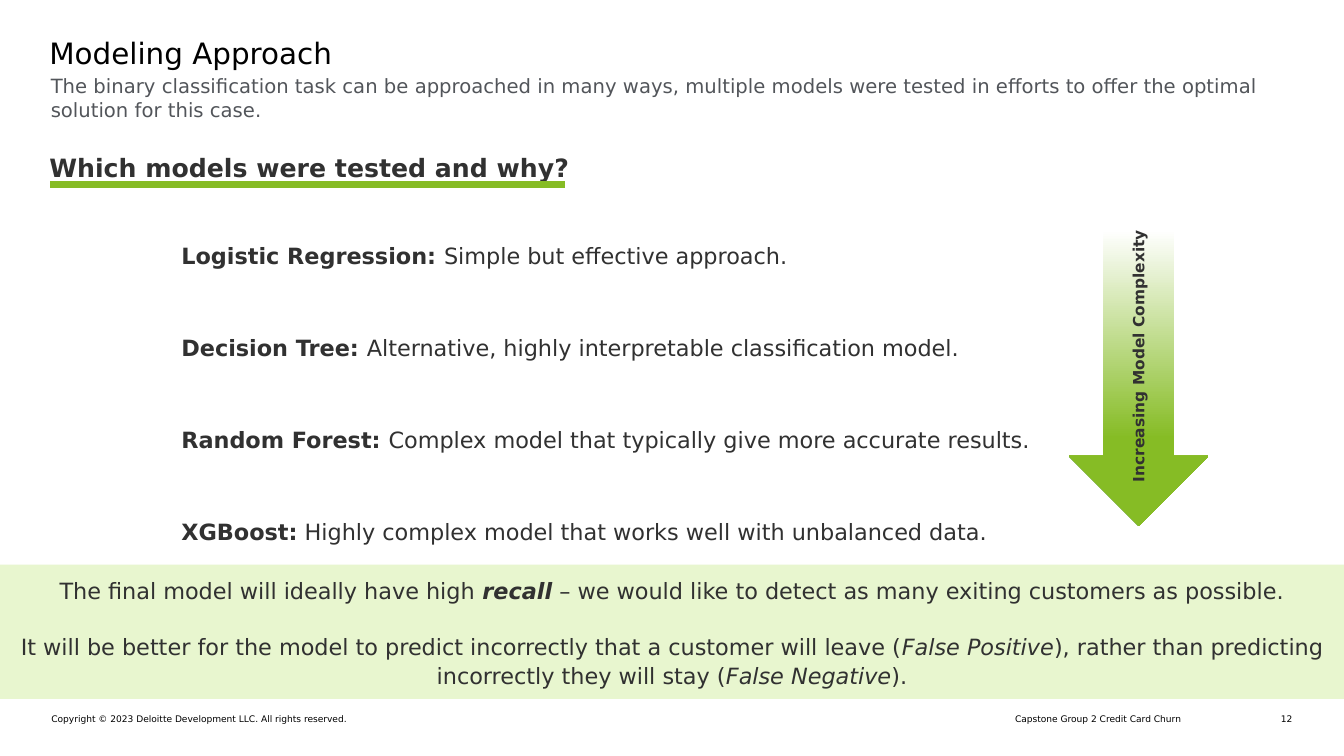
from lxml.etree import SubElement
from pptx import Presentation
from pptx.dml.color import RGBColor
from pptx.enum.shapes import MSO_CONNECTOR, MSO_SHAPE
from pptx.enum.text import MSO_ANCHOR, PP_ALIGN
from pptx.oxml.ns import qn
from pptx.util import Pt

FONT = "DejaVu Sans"
BLACK, INK, GREY = "000000", "313131", "52555A"
GREEN, PALE_GREEN, WHITE = "86BC25", "E8F6CF", "FFFFFF"

MODELS = [
    ("Logistic Regression: ", "Simple but effective approach."),
    ("Decision Tree: ", "Alternative, highly interpretable classification model."),
    ("Random Forest: ", "Complex model that typically give more accurate results."),
    ("XGBoost:", " Highly complex model that works well with unbalanced data."),
]
MODELS_TOP, MODEL_PITCH = 153.4, 65.8

BOLD, ITALIC = {"bold": True}, {"italic": True}
CONCLUSION = [
    [("The final model will ideally have high ", {}),
     ("recall", BOLD | ITALIC),
     (" – we would like to detect as many exiting customers as possible.", {})],
    [("It will be better for the model to predict incorrectly that a customer will leave (", {}),
     ("False Positive", ITALIC),
     ("), rather than predicting incorrectly they will stay (", {}),
     ("False Negative", ITALIC),
     (").", {})],
]


def rgb(value):
    return RGBColor.from_string(value)


def apply(target, values):
    for name, value in values.items():
        setattr(target, name, value)


def add_runs(paragraph, runs, size, color):
    for text, style in runs:
        run = paragraph.add_run()
        run.text = text
        apply(run.font, {"name": FONT, "size": Pt(size)} | style)
        run.font.color.rgb = rgb(color)


def add_text(slide, box, runs, size, color=INK, frame=None, paragraph=None):
    """Single-paragraph text box without margins."""
    text_box = slide.shapes.add_textbox(*map(Pt, box))
    text_frame = text_box.text_frame
    apply(text_frame, {"margin_left": 0, "margin_top": 0, "margin_right": 0,
                       "margin_bottom": 0, "word_wrap": True} | (frame or {}))
    line = text_frame.paragraphs[0]
    apply(line, paragraph or {})
    add_runs(line, runs, size, color)
    return text_box


def add_plain_shape(slide, kind, box):
    shape = slide.shapes.add_shape(kind, *map(Pt, box))
    shape.shadow.inherit = False
    shape.line.fill.background()
    return shape


def add_rule(slide, left, right, y):
    rule = slide.shapes.add_connector(
        MSO_CONNECTOR.STRAIGHT, Pt(left), Pt(y), Pt(right), Pt(y))
    rule.line.color.rgb = rgb(GREEN)
    rule.line.width = Pt(4.5)
    SubElement(rule._element.spPr, qn("a:effectLst"))


def set_gradient(shape, stops):
    """Top-to-bottom gradient from (percent, colour) stops."""
    shape.fill.gradient()
    shape.fill.gradient_angle = 270
    stop_list = shape._element.spPr.find(qn("a:gradFill")).find(qn("a:gsLst"))
    for old_stop in list(stop_list):
        stop_list.remove(old_stop)
    for percent, color in stops:
        stop = SubElement(stop_list, qn("a:gs"), pos=str(percent * 1000))
        SubElement(stop, qn("a:srgbClr"), val=color)


def add_conclusion(slide, box):
    band = add_plain_shape(slide, MSO_SHAPE.RECTANGLE, box)
    band.fill.solid()
    band.fill.fore_color.rgb = rgb(PALE_GREEN)
    frame = band.text_frame
    apply(frame, {"margin_left": Pt(7.2), "margin_right": Pt(7.2),
                  "margin_top": Pt(7.2), "margin_bottom": Pt(7.2),
                  "word_wrap": True, "vertical_anchor": MSO_ANCHOR.MIDDLE})
    for index, runs in enumerate(CONCLUSION):
        statement = frame.add_paragraph() if index else frame.paragraphs[0]
        apply(statement, {"alignment": PP_ALIGN.CENTER, "line_spacing": 1.06})
        if index:
            statement.space_before = Pt(20)
        add_runs(statement, runs, 16, INK)


def main():
    deck = Presentation()
    apply(deck, {"slide_width": Pt(960), "slide_height": Pt(540)})
    slide = deck.slides.add_slide(deck.slide_layouts[6])

    # Footer
    right = {"alignment": PP_ALIGN.RIGHT}
    for left, width, text, style in [
        (36.7, 422, "Copyright © 2023 Deloitte Development LLC. All rights reserved.", {}),
        (458.6, 385.2, "Capstone Group 2 Credit Card Churn", right),
        (898.6, 24.5, "12", right),
    ]:
        add_text(slide, (left, 509.8, width, 8), [(text, {})], 6.5, BLACK, paragraph=style)

    # Title and subtitle
    add_text(slide, (35.3, 25.2, 842.4, 35.3), [("Modeling Approach", {})], 21, BLACK)
    subtitle = ("The binary classification task can be approached in many ways, multiple models "
                "were tested in efforts to offer the optimal solution for this case.")
    add_text(slide, (35.3, 51.8, 918.7, 35.3), [(subtitle, {})], 14, GREY,
             frame={"margin_left": Pt(1), "margin_top": Pt(1)})

    # Section heading with its rule
    add_text(slide, (35.3, 108.7, 414, 21.6), [("Which models were tested and why?", BOLD)], 18)
    add_rule(slide, 36, 403.5, 131.9)

    # Models, from simple to complex
    for row, (model, reason) in enumerate(MODELS):
        add_text(slide, (129.6, MODELS_TOP + row * MODEL_PITCH, 626.4, 32.4),
                 [(model, BOLD), (reason, {})], 16, paragraph={"line_spacing": 2.0})

    # Conclusion band
    add_conclusion(slide, (0, 403.4, 960, 95.8))

    # Complexity arrow and its upright label
    arrow = add_plain_shape(slide, MSO_SHAPE.DOWN_ARROW, (763.4, 135.4, 100, 240.2))
    set_gradient(arrow, [(12, WHITE), (74, GREEN), (100, GREEN)])
    complexity = add_text(slide, (722.4, 247, 181.4, 13.5),
                          [("Increasing Model Complexity", BOLD)], 11,
                          frame={"word_wrap": False})
    complexity.rotation = 270

    deck.save("out.pptx")


if __name__ == "__main__":
    main()
